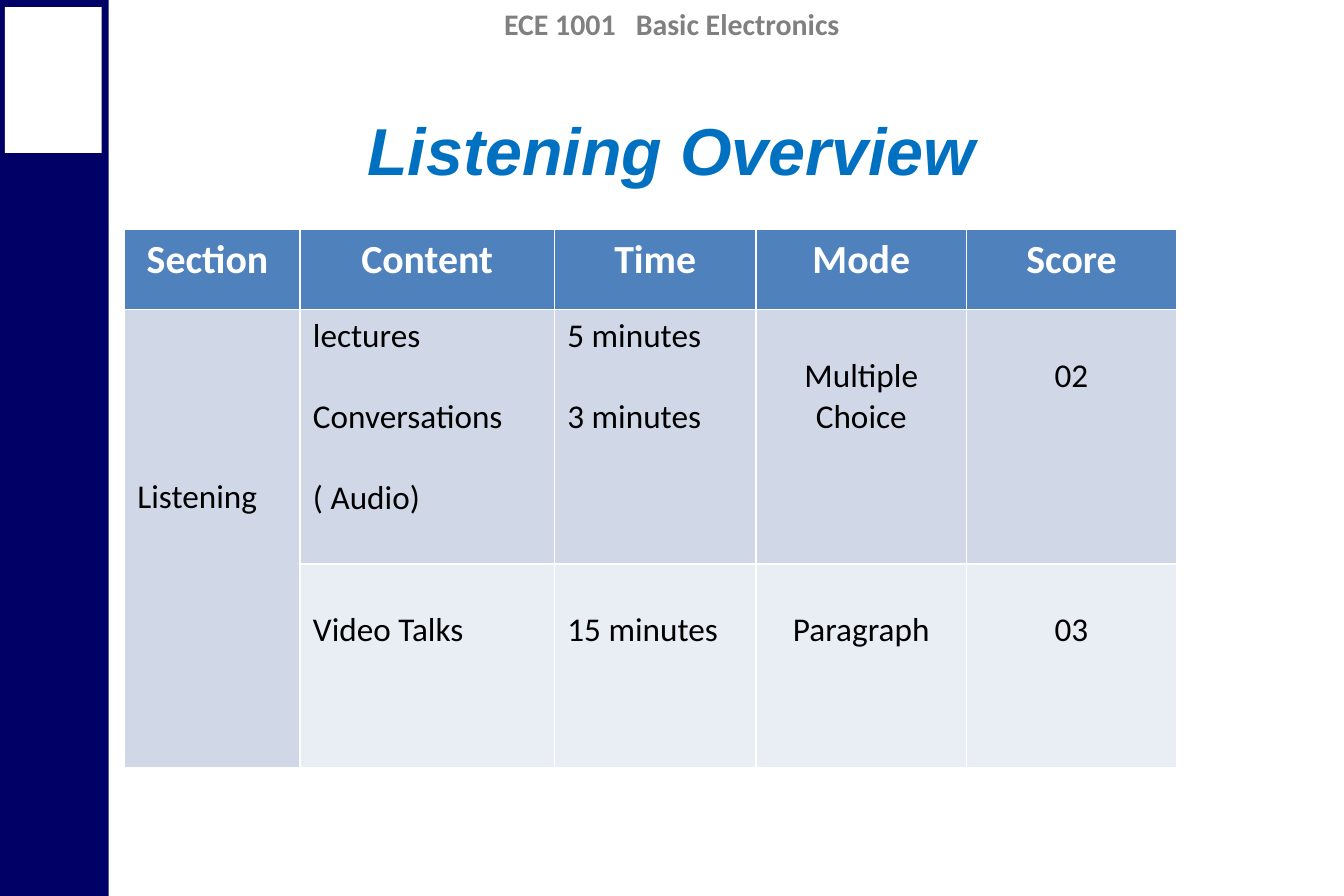
from lxml import etree
from pptx import Presentation, util as u
from pptx.dml.color import RGBColor
from pptx.enum import shapes, text
from pptx.oxml import ns

COLS, ROWS = 45, 30
LEFT, MID = text.PP_ALIGN.LEFT, text.PP_ALIGN.CENTER
LINE = 24.4  # points in one line of 20 pt body text

HEAD = dict(name="Calibri", size=u.Pt(18), bold=True, color="808080")
TITLE = dict(name="Arial", size=u.Pt(40), bold=True, italic=True, color="0070C0")
LABEL = dict(name="Calibri", size=u.Pt(24), bold=True, color="FFFFFF")
BODY = dict(name="Calibri", size=u.Pt(20), bold=False, color="000000")

LABELS = ["Section ", "Content", "Time", "Mode", "Score"]
WIDTHS = [5.88, 8.52, 6.76, 7.04, 7.04]
HEIGHTS = [2.68, 8.52, 6.84]
ALIGNS = [LEFT, LEFT, LEFT, MID, MID]
# Each entry holds the lines of a cell and how many lines down they start.
LISTEN = [
    (["Listening"], 4),
    (["lectures", "Conversations", "( Audio)"], 0),
    (["5 minutes", "3 minutes"], 0),
    (["Multiple Choice"], 1),
    (["02"], 1),
]
VIDEO = [None] + [([word], 1) for word in
                  ("Video Talks", "15 minutes", "Paragraph", "03")]


def paint(target, color):
    target.solid()
    target.fore_color.rgb = RGBColor.from_string(color)


class Deck:
    def __init__(self):
        self.prs = Presentation()
        self.prs.slide_width, self.prs.slide_height = u.Inches(11.25), u.Inches(7.5)
        self.unit = self.prs.slide_width / COLS
        self.slide = self.prs.slides.add_slide(self.prs.slide_layouts[5])
        paint(self.slide.background.fill, "FFFFFF")

    def span(self, *cells):
        """Turn grid columns or rows into lengths."""
        return [u.Emu(round(n * self.unit)) for n in cells]

    def put(self, frame, lines, style, align, gap=0):
        """Set one paragraph per line, gap points apart."""
        frame.word_wrap = True
        for i, line in enumerate(lines):
            para = frame.paragraphs[0] if i == 0 else frame.add_paragraph()
            para.alignment = align
            if i:
                para.space_before = u.Pt(gap)
            run = para.add_run()
            run.text = line
            for key, value in style.items():
                if key == "color":
                    run.font.color.rgb = RGBColor.from_string(value)
                else:
                    setattr(run.font, key, value)

    def rect(self, box, color):
        shape = self.slide.shapes.add_shape(shapes.MSO_SHAPE.RECTANGLE, *self.span(*box))
        shape.shadow.inherit = False
        paint(shape.fill, color)
        shape.line.fill.background()

    def label(self, box, line, style):
        shape = self.slide.shapes.add_textbox(*self.span(*box))
        self.put(shape.text_frame, [line], style, MID)

    def title(self, box, line, style):
        shape = self.slide.shapes.title
        shape.left, shape.top, shape.width, shape.height = self.span(*box)
        shape.text_frame.vertical_anchor = text.MSO_ANCHOR.MIDDLE
        self.put(shape.text_frame, [line], style, MID)

    def table(self, left, top, widths, heights):
        box = self.span(left, top, sum(widths), sum(heights))
        table = self.slide.shapes.add_table(len(heights), len(widths), *box).table
        for col, width in zip(table.columns, self.span(*widths)):
            col.width = width
        for row, height in zip(table.rows, self.span(*heights)):
            row.height = height
        return table

    def cell(self, cell, lines, style, align, color, skip=0):
        """Fill a cell; skip is how many body lines its text moves down."""
        cell.margin_left = cell.margin_right = u.Inches(0.11)
        cell.margin_top = u.Inches(0.05) + u.Pt(skip * LINE)
        cell.margin_bottom = u.Inches(0.05)
        self.edge(cell, "FFFFFF", 1)
        paint(cell.fill, color)
        self.put(cell.text_frame, lines, style, align, LINE)

    def edge(self, cell, color, width):
        props = cell._tc.get_or_add_tcPr()
        for side in ("lnL", "lnR", "lnT", "lnB"):
            line = etree.SubElement(props, ns.qn("a:" + side), w=str(u.Pt(width)))
            fill = etree.SubElement(line, ns.qn("a:solidFill"))
            etree.SubElement(fill, ns.qn("a:srgbClr"), val=color)


def main():
    deck = Deck()
    deck.rect((0, 0, 3.64, ROWS), "000066")
    deck.label((0, 0, COLS, 1.6), "ECE 1001   Basic Electronics", HEAD)
    deck.rect((0.16, 0.24, 3.24, 4.88), "FFFFFF")
    deck.title((4.48, 3, 36, 4), "Listening Overview", TITLE)

    table = deck.table(4.16, 7.68, WIDTHS, HEIGHTS)
    table.cell(1, 0).merge(table.cell(2, 0))
    for c, name in enumerate(LABELS):
        deck.cell(table.cell(0, c), [name], LABEL, MID, "4F81BD")
    for r, (row, color) in enumerate([(LISTEN, "D0D8E8"), (VIDEO, "E9EDF4")], 1):
        for c, entry in enumerate(row):
            if entry:
                lines, skip = entry
                deck.cell(table.cell(r, c), lines, BODY, ALIGNS[c], color, skip)
    deck.prs.save("out.pptx")


if __name__ == "__main__":
    main()
